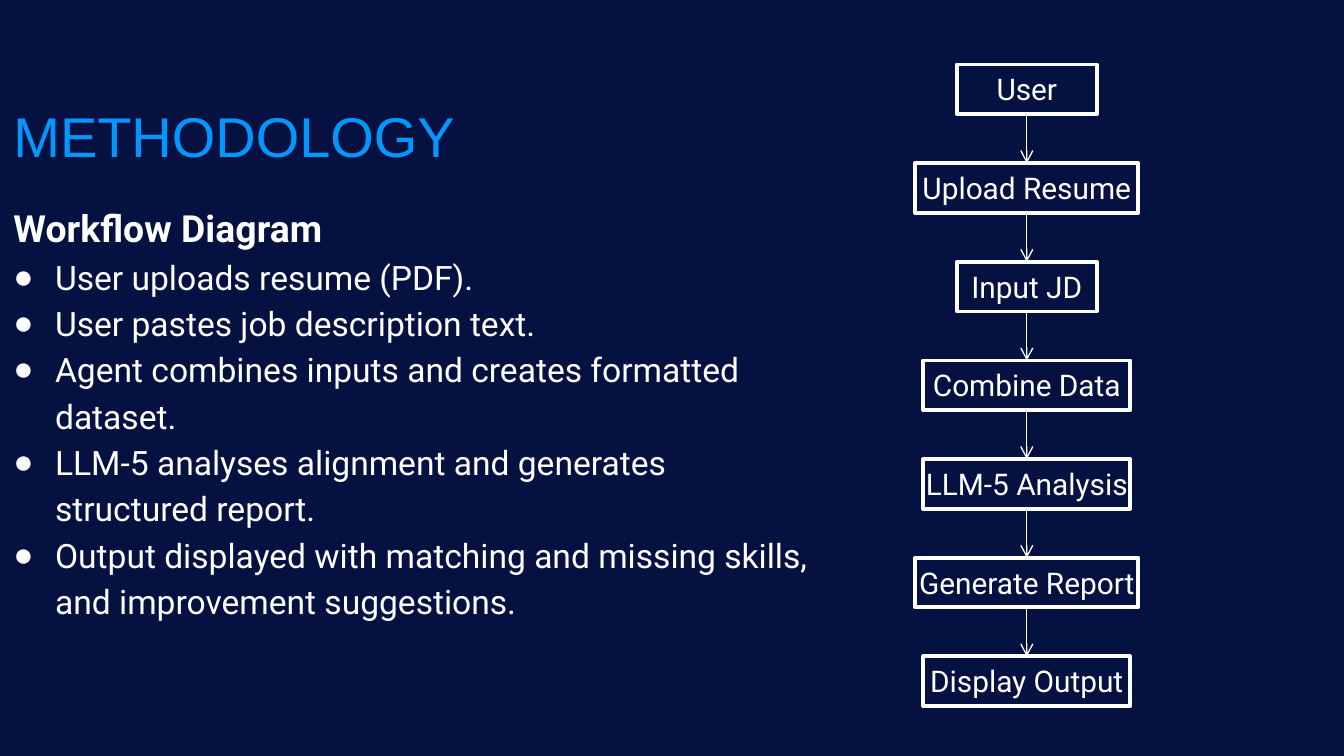
from lxml.etree import SubElement
from pptx import Presentation
from pptx.dml.color import RGBColor
from pptx.enum.shapes import MSO_CONNECTOR, MSO_SHAPE
from pptx.enum.text import MSO_ANCHOR as Anchor, MSO_AUTO_SIZE as AutoSize, PP_ALIGN as Align
from pptx.oxml.ns import qn
from pptx.util import Inches, Pt

NAVY = RGBColor(0x05, 0x11, 0x41)
BLUE = RGBColor(0x00, 0x98, 0xFF)
WHITE = RGBColor(0xFF, 0xFF, 0xFF)

prs = Presentation()
prs.slide_width = Inches(10)
prs.slide_height = prs.slide_width * 9 // 16
COL, ROW = prs.slide_width / 100, prs.slide_height / 100  # 100 x 100 grid

slide = prs.slides.add_slide(prs.slide_layouts[0])
slide.background.fill.solid()
slide.background.fill.fore_color.rgb = NAVY


def grid(left, top, width, height):
    """Turn grid columns and rows into slide lengths."""
    return int(left * COL), int(top * ROW), int(width * COL), int(height * ROW)


def write(paragraph, text, size, font="Roboto", color=WHITE, bold=False, align=Align.LEFT):
    paragraph.alignment = align
    run = paragraph.add_run()
    run.text = text
    for name, value in {"size": Pt(size), "name": font, "bold": bold}.items():
        setattr(run.font, name, value)
    run.font.color.rgb = color


# Heading and list
heading, workflow = slide.shapes.title, slide.placeholders[1]
for part, area, anchor in (
    (heading, grid(0, 12.6, 36.7, 11.56), Anchor.BOTTOM),
    (workflow, grid(0, 24.53, 61.2, 59.2), Anchor.TOP),
):
    part.left, part.top, part.width, part.height = area
    frame_format = {"word_wrap": True, "auto_size": AutoSize.NONE, "vertical_anchor": anchor}
    frame_format.update({f"margin_{side}": Inches(0.1) for side in ("left", "top", "right", "bottom")})
    for name, value in frame_format.items():
        setattr(part.text_frame, name, value)

write(heading.text_frame.paragraphs[0], "METHODOLOGY", 30, font="Arial", color=BLUE)

lines = [
    "Workflow Diagram",
    "User uploads resume (PDF).",
    "User pastes job description text.",
    "Agent combines inputs and creates formatted dataset.",
    "LLM-5 analyses alignment and generates structured report.",
    "Output displayed with matching and missing skills, and improvement suggestions.",
]
for i, line in enumerate(lines):
    paragraph = workflow.text_frame.paragraphs[0] if i == 0 else workflow.text_frame.add_paragraph()
    paragraph.line_spacing = 1.15
    paragraph.space_before = Pt(0)
    write(paragraph, line, 18 if i else 20, bold=i == 0)
    if i:
        properties = paragraph._p.get_or_add_pPr()
        properties.set("marL", str(Inches(0.31)))
        properties.set("indent", str(-Inches(0.31)))
        bullet_color = SubElement(properties, qn("a:buClr"))
        SubElement(bullet_color, qn("a:srgbClr"), val=str(WHITE))
        SubElement(properties, qn("a:buChar"), char="●")

# Flowchart: label, label width and frame width in columns
steps = [
    ("User", 9.3, 10.4),
    ("Upload Resume", 17.7, 16.6),
    ("Input JD", 10.4, 10.4),
    ("Combine Data", 16.2, 15.4),
    ("LLM-5 Analysis", 17.1, 15.4),
    ("Generate Report", 18.3, 16.6),
    ("Display Output", 16.6, 15.4),
]
CENTER, FIRST_TOP, PITCH, STEP_HEIGHT = 76.4, 8.53, 13.05, 6.58

previous = None
for i, (step, label_width, frame_width) in enumerate(steps):
    top = FIRST_TOP + i * PITCH
    label = slide.shapes.add_textbox(*grid(CENTER - label_width / 2, top, label_width, STEP_HEIGHT))
    label.text_frame.word_wrap = i == 0
    label.text_frame.auto_size = AutoSize.SHAPE_TO_FIT_TEXT
    write(label.text_frame.paragraphs[0], step, 16, align=Align.CENTER)

    frame = slide.shapes.add_shape(
        MSO_SHAPE.RECTANGLE, *grid(CENTER - frame_width / 2, top, frame_width, STEP_HEIGHT))
    frame.shadow.inherit = False
    frame.fill.background()
    frame.line.color.rgb = WHITE
    frame.line.width = Pt(2)

    if previous:
        arrow = slide.shapes.add_connector(MSO_CONNECTOR.STRAIGHT, 0, 0, 0, 0)
        arrow.begin_connect(previous, 2)
        arrow.end_connect(frame, 0)
        arrow.line.color.rgb = WHITE
        arrow.line.width = Pt(0.75)
        SubElement(arrow.line._get_or_add_ln(), qn("a:tailEnd"), type="arrow")
        SubElement(arrow._element.spPr, qn("a:effectLst"))
    previous = frame

prs.save("out.pptx")
